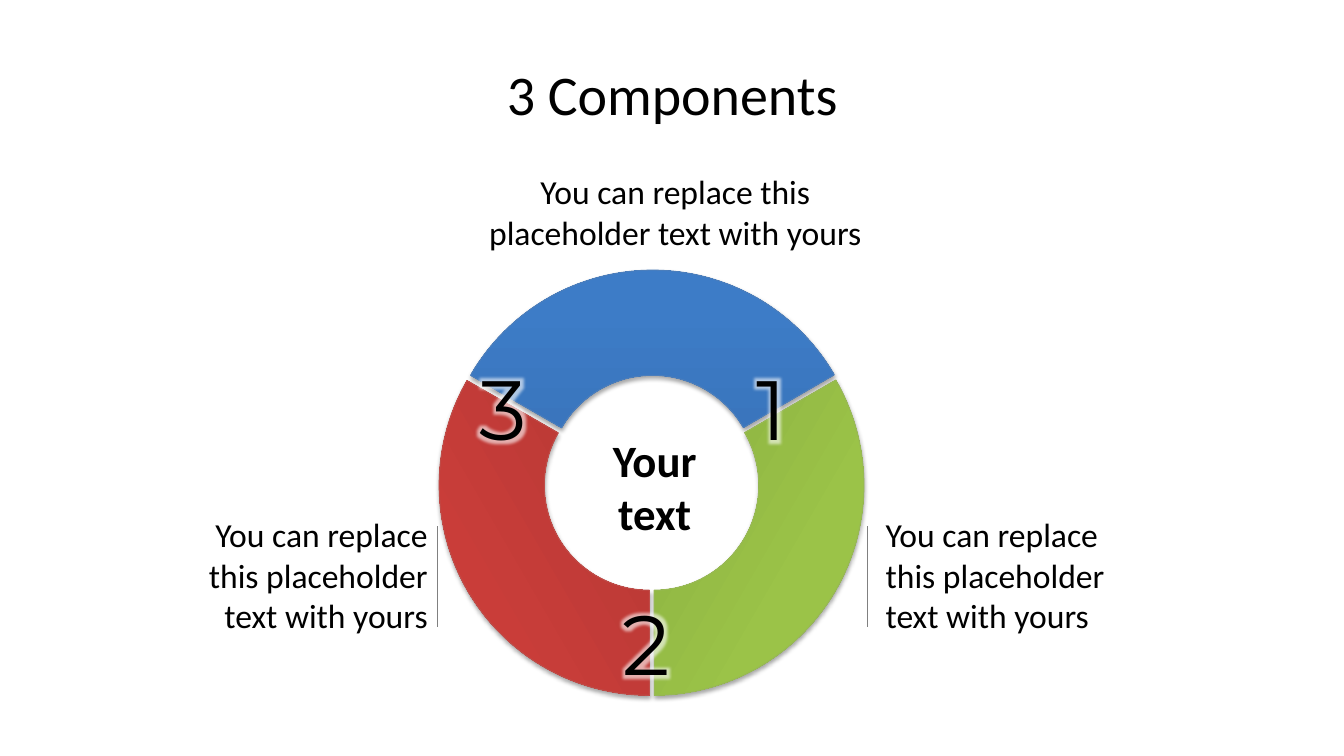
from copy import deepcopy
from dataclasses import dataclass

from lxml import etree
from pptx import Presentation
from pptx.dml.color import RGBColor
from pptx.enum import shapes, text
from pptx.oxml import parse_xml
from pptx.oxml.ns import nsdecls, qn
from pptx.util import Cm, Pt

BLACK = RGBColor(0x00, 0x00, 0x00)
GRAY = RGBColor(0x80, 0x80, 0x80)
BLUE = RGBColor(0x4B, 0x7E, 0xBC)
BLUE_SHADES = (RGBColor(0x2F, 0x5F, 0x99), RGBColor(0x3D, 0x7C, 0xC7), RGBColor(0x3A, 0x7C, 0xCB))
RED = RGBColor(0xBF, 0x4C, 0x48)
RED_SHADES = (RGBColor(0x9C, 0x2F, 0x2D), RGBColor(0xCB, 0x3E, 0x3A), RGBColor(0xCE, 0x3B, 0x37))
GREEN = RGBColor(0x98, 0xB9, 0x55)
GREEN_SHADES = (RGBColor(0x77, 0x97, 0x37), RGBColor(0x9B, 0xC3, 0x48), RGBColor(0x9D, 0xC7, 0x46))

BODY_FONT, DIGIT_FONT = "Calibri", "Montserrat"
RING_SIZE = 10.59
SHADE_POSITIONS = (0, 0.8, 1)
CAPTION = "You can replace this placeholder text with yours"
CENTER, LEFT, RIGHT = text.PP_ALIGN.CENTER, text.PP_ALIGN.LEFT, text.PP_ALIGN.RIGHT

SHADOW = (f'<a:outerShdw {nsdecls("a")} blurRad="40000" dist="23000" dir="5400000" rotWithShape="0">'
          '<a:srgbClr val="000000"><a:alpha val="35000"/></a:srgbClr></a:outerShdw>')
GLOW = (f'<a:effectLst {nsdecls("a")}><a:glow rad="101600">'
        '<a:srgbClr val="FFFFFF"><a:alpha val="60000"/></a:srgbClr></a:glow></a:effectLst>')


@dataclass
class Segment:
    left: float
    top: float
    rotation: int
    shades: tuple[RGBColor, ...]
    outline: RGBColor


@dataclass
class Label:
    words: str
    left: float
    top: float
    width: float
    height: float
    align: text.PP_ALIGN
    size: int = 24
    bold: bool = False


@dataclass
class Digit:
    number: str
    left: float
    top: float


SEGMENTS = [
    Segment(11.15, 6.81, 60, BLUE_SHADES, BLUE),
    Segment(11.07, 6.93, 300, RED_SHADES, RED),
    Segment(11.18, 6.93, 180, GREEN_SHADES, GREEN),
]
LABELS = [
    Label("Your text", 14.81, 10.77, 3.38, 3, CENTER, 32, True),
    Label(CAPTION, 11.84, 4.19, 10.36, 2.31, CENTER),
    Label(CAPTION, 22.07, 12.83, 6.99, 3.33, LEFT),
    Label(CAPTION, 4.04, 12.83, 6.99, 3.33, RIGHT),
]
DIGITS = [Digit("1", 18.82, 8.86), Digit("2", 15.44, 14.78), Digit("3", 11.84, 8.86)]
DIVIDERS = [21.87, 11.02]


def draw_segment(slide, segment: Segment) -> None:
    arc = slide.shapes.add_shape(shapes.MSO_SHAPE.BLOCK_ARC, Cm(segment.left), Cm(segment.top),
                                 Cm(RING_SIZE), Cm(RING_SIZE))
    arc.rotation = segment.rotation
    for index, value in enumerate((90, 161.9, 0.25)):
        arc.adjustments[index] = value
    arc.fill.gradient()
    arc.fill.gradient_angle = 150  # lighter towards the outer rim
    stop_list = arc._element.spPr.find(".//" + qn("a:gsLst"))
    stop_list.append(deepcopy(stop_list[-1]))
    for stop, position, shade in zip(arc.fill.gradient_stops, SHADE_POSITIONS, segment.shades):
        stop.position = position
        stop.color.rgb = shade
    arc.line.color.rgb = segment.outline
    arc.line.width = Pt(0.75)
    arc.shadow.inherit = False
    arc._element.spPr.find(qn("a:effectLst")).append(parse_xml(SHADOW))


def draw_label(slide, label: Label) -> None:
    box = slide.shapes.add_textbox(Cm(label.left), Cm(label.top), Cm(label.width), Cm(label.height))
    box.text_frame.word_wrap = True
    paragraph = box.text_frame.paragraphs[0]
    paragraph.text = label.words
    paragraph.alignment = label.align
    font = paragraph.font
    font.name, font.size, font.bold = BODY_FONT, Pt(label.size), label.bold
    font.color.rgb = BLACK


def draw_digit(slide, digit: Digit) -> None:
    box = slide.shapes.add_textbox(Cm(digit.left), Cm(digit.top), Cm(1.93), Cm(2.82))
    box.text_frame.word_wrap = False
    run = box.text_frame.paragraphs[0].add_run()
    run.text = digit.number
    run.font.name, run.font.size = DIGIT_FONT, Pt(60)
    run.font.color.rgb = BLACK
    run._r.rPr.find(qn("a:solidFill")).addnext(parse_xml(GLOW))


def draw_divider(slide, x: float) -> None:
    divider = slide.shapes.add_connector(shapes.MSO_CONNECTOR.STRAIGHT,
                                         Cm(x), Cm(13.26), Cm(x), Cm(15.8))
    divider.line.color.rgb = GRAY
    divider.line.width = Pt(0.75)
    etree.SubElement(divider._element.spPr, qn("a:effectLst"))


def main() -> None:
    deck = Presentation()
    deck.slide_width, deck.slide_height = Cm(33.87), Cm(19.05)
    slide = deck.slides.add_slide(deck.slide_layouts[5])

    # Title
    title = slide.shapes.title
    title.left, title.top, title.width, title.height = Cm(1.7), Cm(0.76), Cm(30.48), Cm(3.18)
    title.text_frame.vertical_anchor = text.MSO_ANCHOR.MIDDLE
    heading = title.text_frame.paragraphs[0]
    heading.text = "3 Components"
    heading.alignment = CENTER
    heading.font.name, heading.font.size = BODY_FONT, Pt(40)
    heading.font.color.rgb = BLACK

    # Ring
    for segment in SEGMENTS:
        draw_segment(slide, segment)

    # Captions, dividers and numbers
    for label in LABELS:
        draw_label(slide, label)
    for x in DIVIDERS:
        draw_divider(slide, x)
    for digit in DIGITS:
        draw_digit(slide, digit)

    deck.save("out.pptx")


if __name__ == "__main__":
    main()
